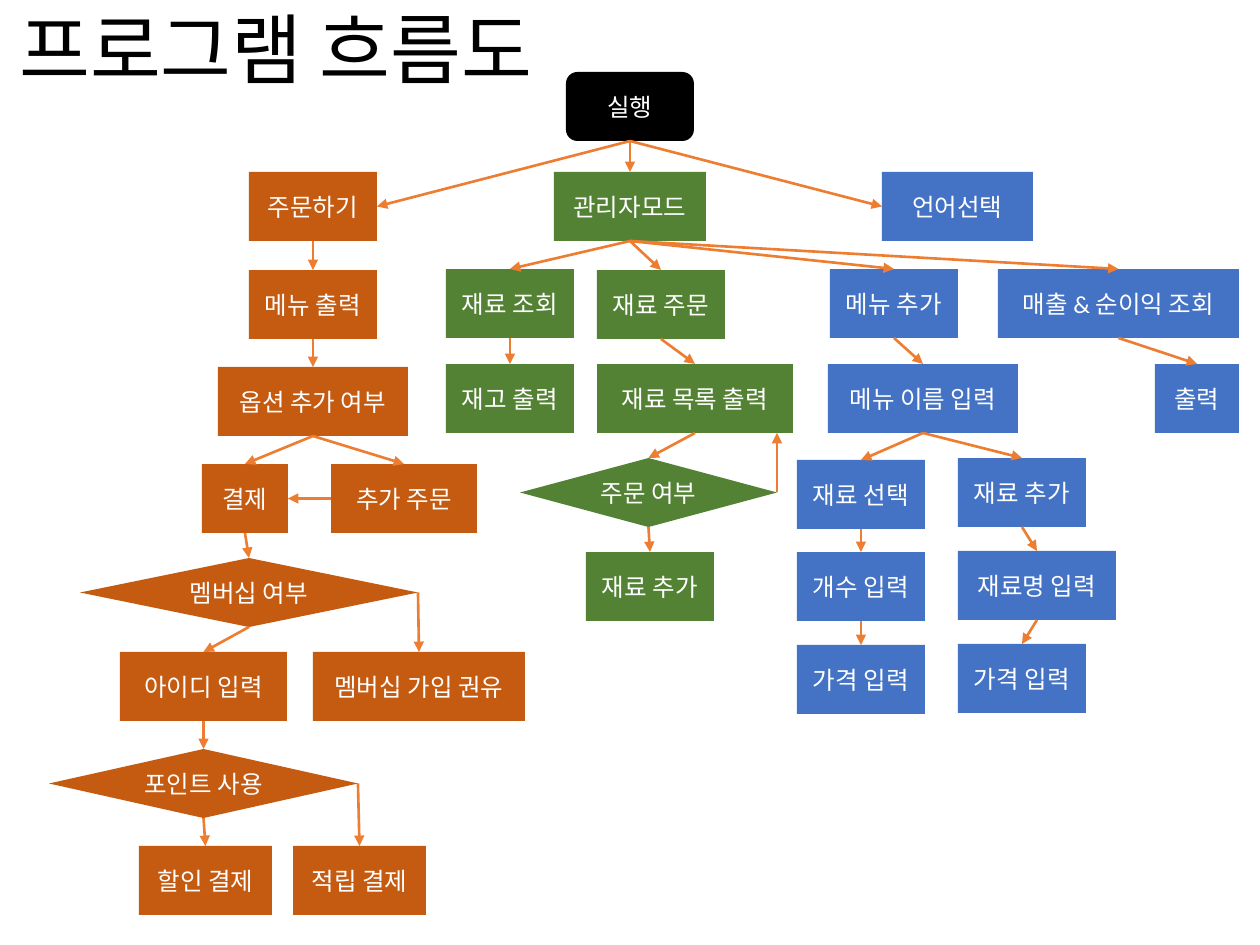
"""Build the program flowchart slide."""
from enum import IntEnum
from typing import NamedTuple

import lxml.etree
import pptx
import pptx.dml.color
import pptx.enum.shapes
import pptx.enum.text
import pptx.oxml.ns
import pptx.util

RGBColor = pptx.dml.color.RGBColor
Shape = pptx.enum.shapes.MSO_SHAPE

EMU_PER_PIXEL = 914400 / 126
BOX_HEIGHT = 69
BOX_WIDTH = 128
BLACK = RGBColor(0x00, 0x00, 0x00)
WHITE = RGBColor(0xFF, 0xFF, 0xFF)
ORANGE = RGBColor(0xC5, 0x5A, 0x11)
GREEN = RGBColor(0x54, 0x82, 0x35)
BLUE = RGBColor(0x44, 0x72, 0xC4)
ARROW = RGBColor(0xED, 0x7D, 0x31)
BODY_FONT = "Calibri"
KOREAN_FONT = "Noto Sans CJK KR"


class Site(IntEnum):
    TOP = 0
    LEFT = 1
    BOTTOM = 2
    RIGHT = 3


class Box(NamedTuple):
    key: str
    text: str
    color: RGBColor
    left: int
    top: int
    width: int = BOX_WIDTH
    kind: Shape = Shape.RECTANGLE


class Arrow(NamedTuple):
    source: str
    target: str
    start: Site = Site.BOTTOM
    end: Site = Site.TOP


DECISION = Shape.FLOWCHART_DECISION
BOXES = [
    Box("run", "실행", BLACK, 566, 72, kind=Shape.FLOWCHART_ALTERNATE_PROCESS),
    Box("order", "주문하기", ORANGE, 249, 172),
    Box("admin", "관리자모드", GREEN, 554, 172, 152),
    Box("language", "언어선택", BLUE, 882, 172, 151),
    Box("menu", "메뉴 출력", ORANGE, 249, 270),
    Box("option", "옵션 추가 여부", ORANGE, 218, 367, 190),
    Box("pay", "결제", ORANGE, 202, 464, 86),
    Box("extra", "추가 주문", ORANGE, 331, 464, 146),
    Box("member", "멤버십 여부", ORANGE, 80, 558, 338, DECISION),
    Box("login", "아이디 입력", ORANGE, 120, 652, 167),
    Box("join", "멤버십 가입 권유", ORANGE, 313, 652, 212),
    Box("points", "포인트 사용", ORANGE, 49, 749, 309, DECISION),
    Box("discount", "할인 결제", ORANGE, 139, 846, 133),
    Box("accrue", "적립 결제", ORANGE, 293, 846, 133),
    Box("stock", "재료 조회", GREEN, 446, 269),
    Box("supply", "재료 주문", GREEN, 597, 270),
    Box("sales", "매출 & 순이익 조회", BLUE, 998, 269, 241),
    Box("new_menu", "메뉴 추가", BLUE, 830, 269),
    Box("stock_list", "재고 출력", GREEN, 446, 364),
    Box("supply_list", "재료 목록 출력", GREEN, 597, 364, 196),
    Box("confirm", "주문 여부", GREEN, 520, 458, 257, DECISION),
    Box("restock", "재료 추가", GREEN, 586, 552),
    Box("menu_name", "메뉴 이름 입력", BLUE, 828, 364, 190),
    Box("report", "출력", BLUE, 1155, 364, 84),
    Box("pick", "재료 선택", BLUE, 797, 460),
    Box("add", "재료 추가", BLUE, 958, 458),
    Box("count", "개수 입력", BLUE, 797, 552),
    Box("add_name", "재료명 입력", BLUE, 958, 551, 158),
    Box("add_price", "가격 입력", BLUE, 958, 644),
    Box("count_price", "가격 입력", BLUE, 797, 645),
]
ARROWS = [
    Arrow("run", "admin"),
    Arrow("run", "order", end=Site.RIGHT),
    Arrow("run", "language", end=Site.LEFT),
    Arrow("order", "menu"),
    Arrow("menu", "option"),
    Arrow("option", "pay"),
    Arrow("option", "extra"),
    Arrow("extra", "pay", Site.LEFT, Site.RIGHT),
    Arrow("pay", "member"),
    Arrow("member", "login"),
    Arrow("member", "join", Site.RIGHT),
    Arrow("login", "points"),
    Arrow("points", "discount"),
    Arrow("points", "accrue", Site.RIGHT),
    Arrow("admin", "stock"),
    Arrow("admin", "supply"),
    Arrow("stock", "stock_list"),
    Arrow("supply", "supply_list"),
    Arrow("supply_list", "confirm"),
    Arrow("confirm", "restock"),
    Arrow("menu_name", "pick"),
    Arrow("new_menu", "menu_name"),
    Arrow("admin", "new_menu"),
    Arrow("admin", "sales"),
    Arrow("sales", "report"),
    Arrow("menu_name", "add"),
    Arrow("pick", "count"),
    Arrow("add", "add_name"),
    Arrow("add_name", "add_price"),
    Arrow("count", "count_price"),
]


def px(pixels: float) -> int:
    """Turn pixels into EMU."""
    return round(pixels * EMU_PER_PIXEL)


def format_text(shape, size: int, font_name: str, color: RGBColor) -> None:
    """Centre the text of a shape and set its font."""
    shape.text_frame.vertical_anchor = pptx.enum.text.MSO_ANCHOR.MIDDLE
    paragraph = shape.text_frame.paragraphs[0]
    paragraph.alignment = pptx.enum.text.PP_ALIGN.CENTER
    font = paragraph.runs[0].font
    font.size = pptx.util.Pt(size)
    font.name = font_name
    font.color.rgb = color
    east_asian = lxml.etree.SubElement(
        paragraph.runs[0]._r.get_or_add_rPr(), pptx.oxml.ns.qn("a:ea"))
    east_asian.set("typeface", KOREAN_FONT)


def draw_box(slide, box: Box):
    """Draw one step of the flow."""
    shape = slide.shapes.add_shape(
        box.kind, px(box.left), px(box.top), px(box.width), px(BOX_HEIGHT))
    shape.shadow.inherit = False
    shape.fill.solid()
    shape.fill.fore_color.rgb = box.color
    shape.line.fill.background()
    shape.text_frame.text = box.text
    format_text(shape, 14, BODY_FONT, WHITE)
    return shape


def add_arrow(slide, end_x: int = 0, end_y: int = 0):
    """Add an arrow with its end at the given point."""
    connector = slide.shapes.add_connector(
        pptx.enum.shapes.MSO_CONNECTOR.STRAIGHT, end_x, end_y, end_x, end_y)
    connector.line.color.rgb = ARROW
    connector.line.width = pptx.util.Pt(1.5)
    line = connector.line._get_or_add_ln()
    lxml.etree.SubElement(line, pptx.oxml.ns.qn("a:tailEnd")).set("type", "triangle")
    lxml.etree.SubElement(connector._element.spPr, pptx.oxml.ns.qn("a:effectLst"))
    return connector


def main() -> None:
    """Compose and save the slide."""
    presentation = pptx.Presentation()
    presentation.slide_width = px(1260)
    presentation.slide_height = px(945)
    slide = presentation.slides.add_slide(presentation.slide_layouts[5])

    title = slide.shapes.title
    title.left, title.top, title.width, title.height = map(px, (-267, -38, 1086, 183))
    title.text_frame.text = "프로그램 흐름도"
    title.text_frame.paragraphs[0].line_spacing = 0.9
    format_text(title, 44, KOREAN_FONT, BLACK)

    steps = {box.key: draw_box(slide, box) for box in BOXES}
    for arrow in ARROWS:
        connector = add_arrow(slide)
        connector.begin_connect(steps[arrow.source], arrow.start)
        connector.end_connect(steps[arrow.target], arrow.end)

    confirm, supply_list = steps["confirm"], steps["supply_list"]
    retry = add_arrow(slide, confirm.left + confirm.width,
                      supply_list.top + supply_list.height)
    retry.begin_connect(confirm, Site.RIGHT)

    presentation.save("out.pptx")


main()
